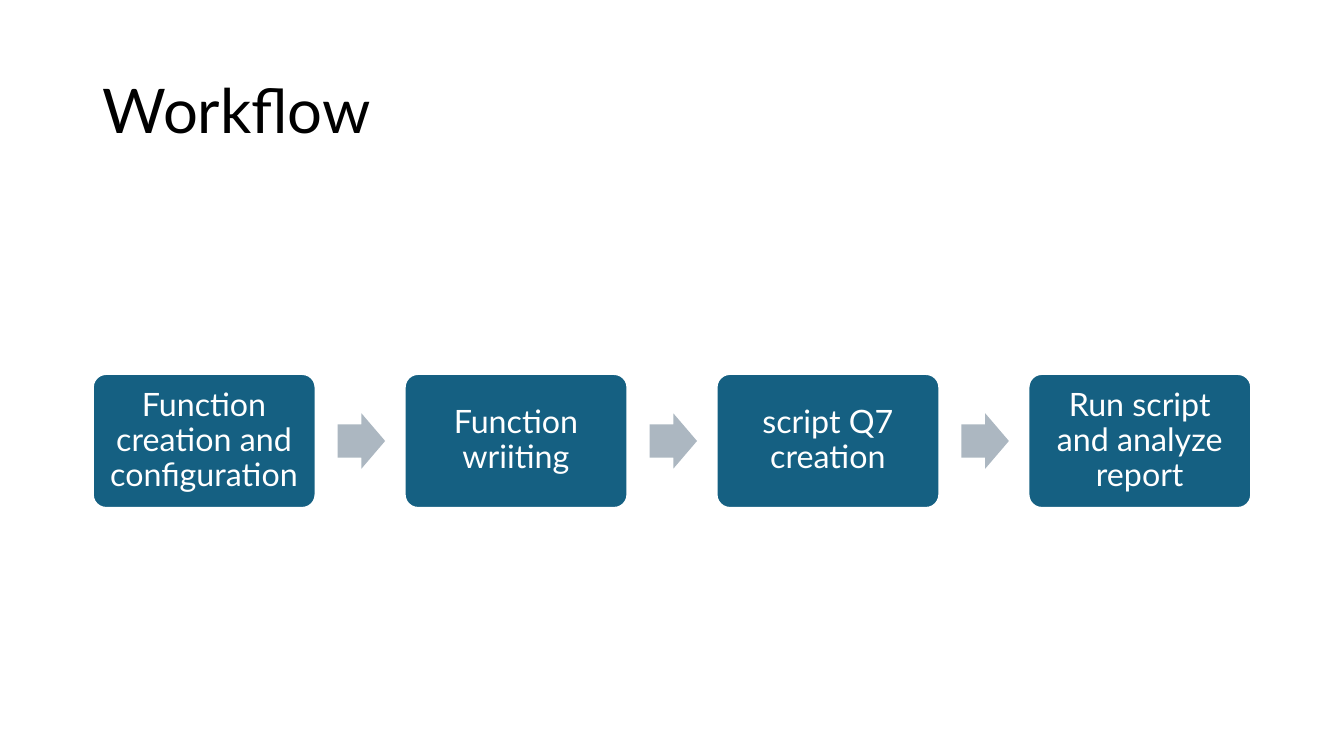
from pptx import Presentation
from pptx.dml.color import RGBColor
from pptx.enum import shapes, text
from pptx.util import Inches, Pt

# Content
TITLE = "Workflow"
STEPS = [
    "Function creation and configuration",
    "Function wriiting",
    "script Q7 creation",
    "Run script and analyze report",
]

THEME = {
    "font": "Lato",
    "title_size": 44,
    "step_size": 23,
    "title": RGBColor(0x00, 0x00, 0x00),
    "step": RGBColor(0x15, 0x60, 0x82),
    "step_text": RGBColor(0xFF, 0xFF, 0xFF),
    "arrow": RGBColor(0xAC, 0xB7, 0xC1),
}

# Layout, in inches
LEFT, RIGHT = 0.92, 12.41
MIDDLE = 4.375
STEP_WIDTH, STEP_HEIGHT = 2.21, 1.33
ARROW_WIDTH, ARROW_HEIGHT = 0.47, 0.55
ARROW_GAP = 0.22
PITCH = (RIGHT - LEFT - STEP_WIDTH) / (len(STEPS) - 1)


def write(shape, words, size, color, align, margins):
    frame = shape.text_frame
    frame.word_wrap = True
    frame.vertical_anchor = text.MSO_ANCHOR.MIDDLE
    for side, margin in margins.items():
        setattr(frame, "margin_" + side, Inches(margin))
    paragraph = frame.paragraphs[0]
    paragraph.alignment = align
    paragraph.line_spacing = 0.9
    run = paragraph.add_run()
    run.text = words
    font = {"name": THEME["font"], "size": Pt(size)}
    for name, value in font.items():
        setattr(run.font, name, value)
    run.font.color.rgb = color


def add_block(slide, kind, left, width, height, fill, adjustments):
    shape = slide.shapes.add_shape(
        kind, Inches(left), Inches(MIDDLE - height / 2), Inches(width), Inches(height))
    shape.shadow.inherit = False
    shape.fill.solid()
    shape.fill.fore_color.rgb = fill
    shape.line.fill.background()
    for index, value in enumerate(adjustments):
        shape.adjustments[index] = value
    return shape


def main():
    presentation = Presentation()
    presentation.slide_width, presentation.slide_height = Inches(13.33), Inches(7.5)
    slide = presentation.slides.add_slide(presentation.slide_layouts[6])

    # Title
    title = slide.shapes.add_textbox(Inches(LEFT), Inches(0.4), Inches(11.5), Inches(1.45))
    write(title, TITLE, THEME["title_size"], THEME["title"], text.PP_ALIGN.LEFT,
          {"left": 0.1, "right": 0.1, "top": 0.05, "bottom": 0.05})

    # Steps, with an arrow after each but the last
    kinds = shapes.MSO_SHAPE
    for index, words in enumerate(STEPS):
        left = LEFT + index * PITCH
        step = add_block(slide, kinds.ROUNDED_RECTANGLE, left, STEP_WIDTH, STEP_HEIGHT,
                         THEME["step"], [0.1])
        step.line.color.rgb = THEME["step_text"]
        step.line.width = Pt(1.5)
        write(step, words, THEME["step_size"], THEME["step_text"], text.PP_ALIGN.CENTER,
              dict.fromkeys(("left", "right", "top", "bottom"), 0.1))
        if index < len(STEPS) - 1:
            add_block(slide, kinds.RIGHT_ARROW, left + STEP_WIDTH + ARROW_GAP,
                      ARROW_WIDTH, ARROW_HEIGHT, THEME["arrow"], [0.6, 0.5])

    presentation.save("out.pptx")


if __name__ == "__main__":
    main()
